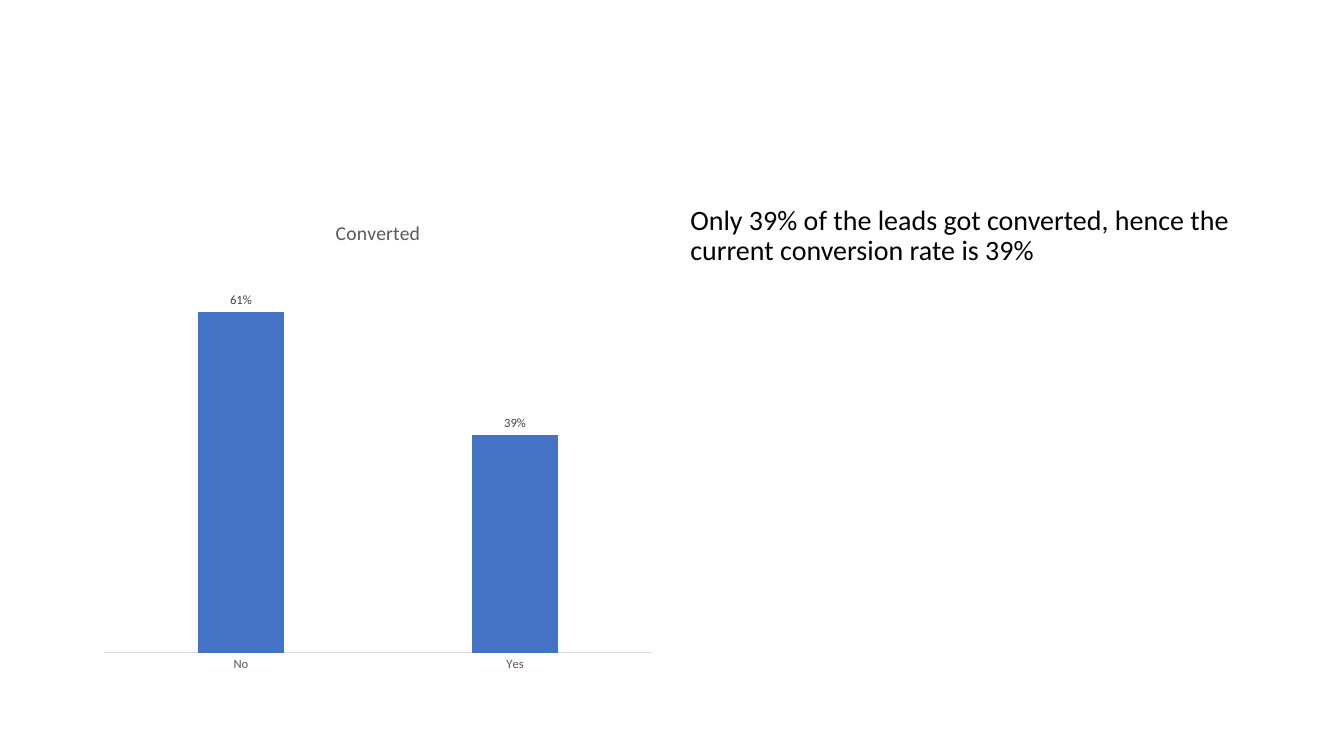
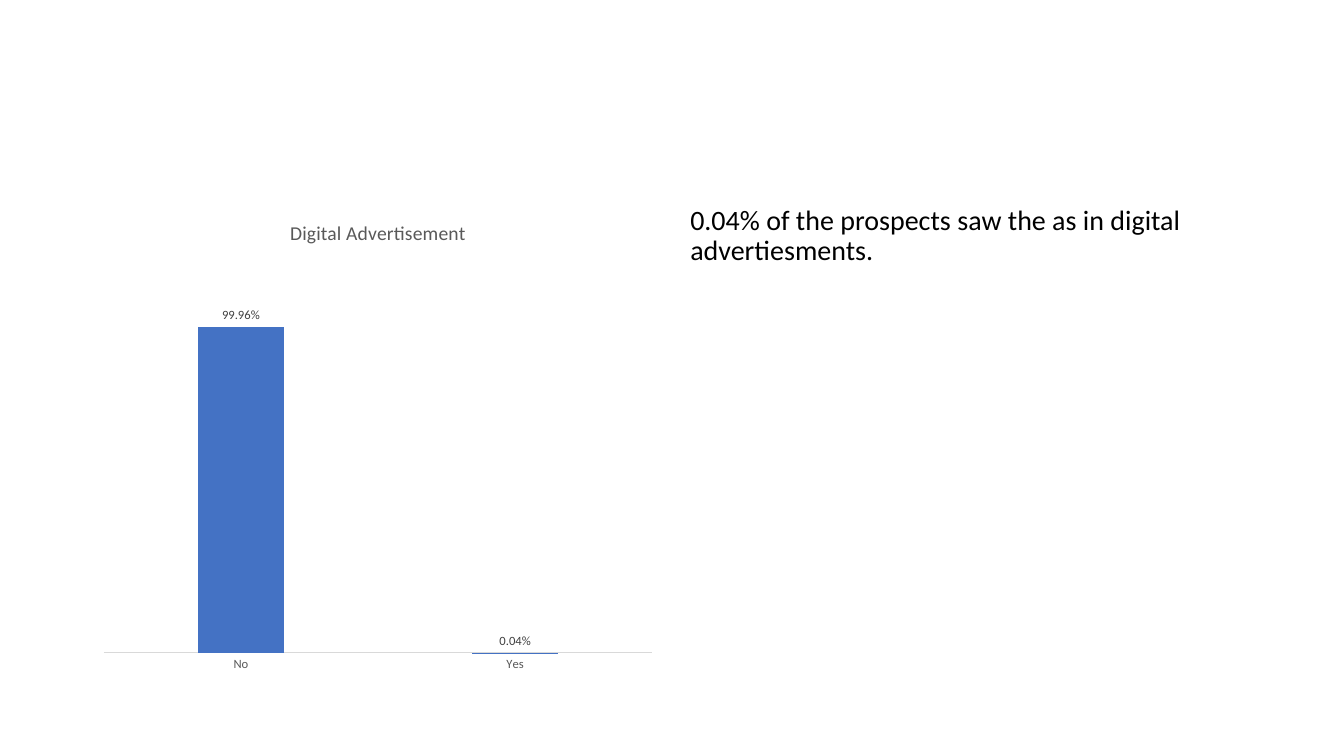
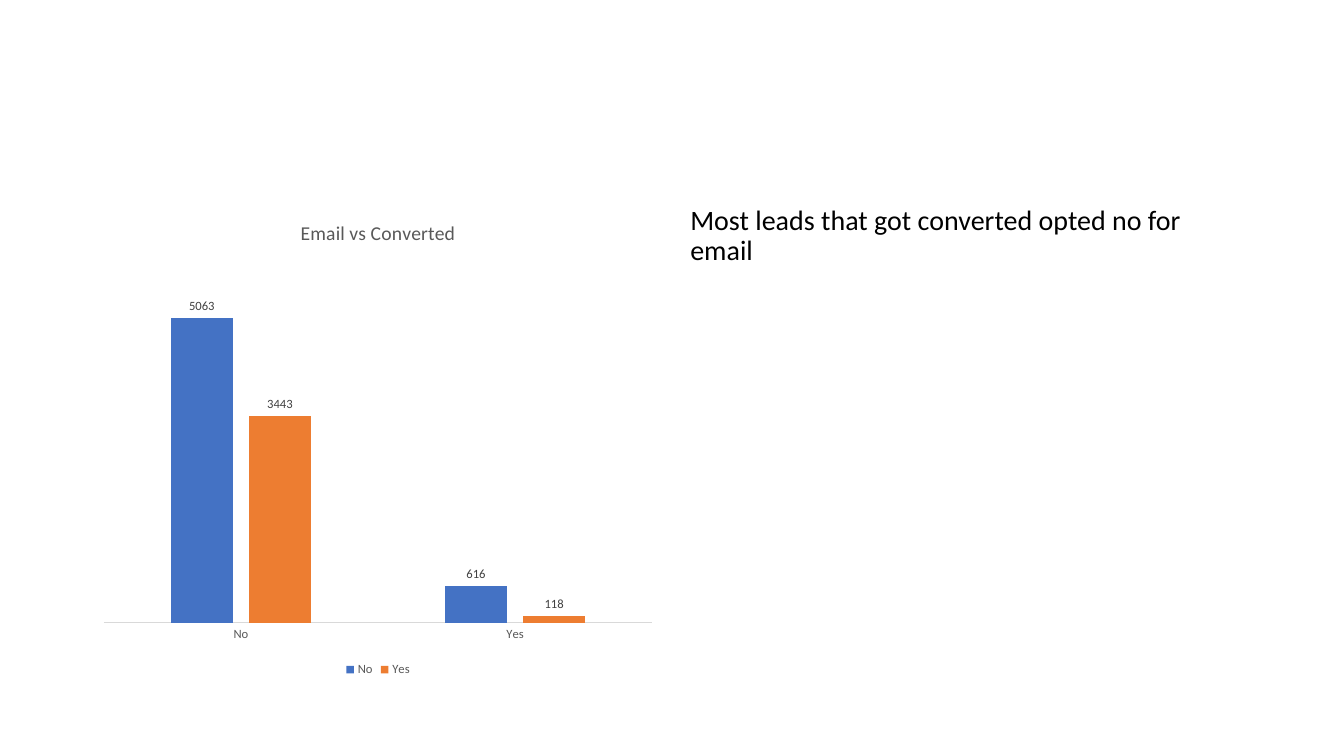
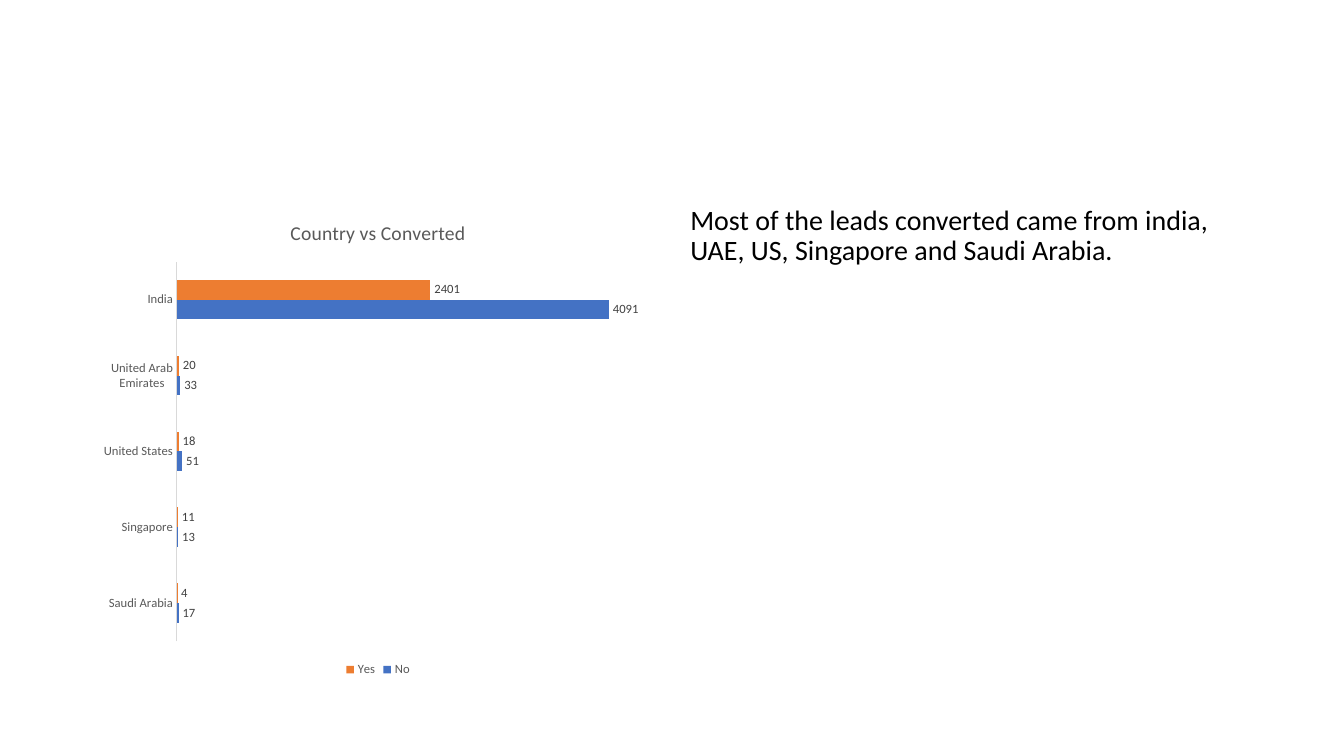
from pptx import Presentation
from pptx.chart.data import CategoryChartData as ChartData
from pptx.dml.color import RGBColor
from pptx.enum.chart import XL_CHART_TYPE as ChartType
from pptx.enum.chart import XL_LABEL_POSITION as LabelPosition
from pptx.enum.chart import XL_LEGEND_POSITION as LegendPosition
from pptx.enum.chart import XL_TICK_MARK as TickMark
from pptx.util import Cm, Pt

FONT = "Calibri"
BLACK = RGBColor(0x00, 0x00, 0x00)
LABEL_GREY = RGBColor(0x40, 0x40, 0x40)
TEXT_GREY = RGBColor(0x59, 0x59, 0x59)
LINE_GREY = RGBColor(0xD9, 0xD9, 0xD9)
BLUE = RGBColor(0x44, 0x72, 0xC4)
ORANGE = RGBColor(0xED, 0x7D, 0x31)
SERIES_COLORS = [BLUE, ORANGE]

PAGE_WIDTH, PAGE_HEIGHT = Cm(33.87), Cm(19.05)
MARGIN, GAP, TOP = Cm(2.33), Cm(0.42), Cm(5.07)
HALF_WIDTH = (PAGE_WIDTH - 2 * MARGIN - GAP) // 2
HALF_HEIGHT = Cm(12.09)

COLUMNS = {"kind": ChartType.COLUMN_CLUSTERED, "gap": 219, "overlap": -27}
BARS = {"kind": ChartType.BAR_CLUSTERED, "gap": 182, "overlap": 0}
ANSWERS = ["No", "Yes"]
COUNTRIES = ["Saudi Arabia", "Singapore", "United States", "United Arab Emirates", "India"]

FINDINGS = [
    {
        "title": "Converted",
        "text": "Only 39% of the leads got converted, hence the current conversion rate is 39%",
        "style": COLUMNS,
        "categories": ANSWERS,
        "series": {"Series 1": [0.61, 0.39]},
        "number_format": "0%",
    },
    {
        "title": "Digital Advertisement",
        "text": "0.04% of the prospects saw the as in digital advertiesments.",
        "style": COLUMNS,
        "categories": ANSWERS,
        "series": {"Series 1": [0.9996, 0.0004]},
        "number_format": "0.00%",
    },
    {
        "title": "Email vs Converted",
        "text": "Most leads that got converted opted no for email",
        "style": COLUMNS,
        "categories": ANSWERS,
        "series": {"No": [5063, 616], "Yes": [3443, 118]},
        "number_format": "General",
    },
    {
        "title": "Country vs Converted",
        "text": "Most of the leads converted came from india, UAE, US, Singapore and Saudi Arabia.",
        "style": BARS,
        "categories": COUNTRIES,
        "series": {"No": [17, 13, 51, 33, 4091], "Yes": [4, 11, 18, 20, 2401]},
        "number_format": "General",
    },
]


def format_font(font, size, color):
    font.name = FONT
    font.size = Pt(size)
    font.bold = False
    font.color.rgb = color


def write_text(frame, text, size=20, color=BLACK, line_spacing=None, space_before=None):
    para = frame.paragraphs[0]
    para.line_spacing = line_spacing
    para.space_before = space_before
    span = para.add_run()
    span.text = text
    format_font(span.font, size, color)


def add_finding_text(page, text):
    left = MARGIN + HALF_WIDTH + GAP
    box = page.shapes.add_textbox(left, TOP, HALF_WIDTH, HALF_HEIGHT)
    box.text_frame.word_wrap = True
    write_text(box.text_frame, text, line_spacing=0.9, space_before=Pt(10))


def style_axes(chart, number_format):
    category_axis = chart.category_axis
    category_axis.major_tick_mark = TickMark.NONE
    category_axis.minor_tick_mark = TickMark.NONE
    category_axis.has_major_gridlines = False
    category_axis.format.line.color.rgb = LINE_GREY
    category_axis.format.line.width = Pt(0.75)
    format_font(category_axis.tick_labels.font, 9, TEXT_GREY)

    value_axis = chart.value_axis
    value_axis.has_major_gridlines = False
    value_axis.tick_labels.number_format = number_format
    value_axis.tick_labels.number_format_is_linked = False
    value_axis.visible = False


def style_series(series, color, number_format):
    series.format.fill.solid()
    series.format.fill.fore_color.rgb = color
    series.invert_if_negative = False
    labels = series.data_labels
    labels.show_value = True
    labels.position = LabelPosition.OUTSIDE_END
    labels.number_format = number_format
    labels.number_format_is_linked = False
    format_font(labels.font, 9, LABEL_GREY)


def add_finding_chart(page, title, style, categories, series, number_format):
    data = ChartData(number_format=number_format)
    data.categories = categories
    for name, values in series.items():
        data.add_series(name, values)
    chart = page.shapes.add_chart(
        style["kind"], MARGIN, TOP, HALF_WIDTH, HALF_HEIGHT, data
    ).chart
    format_font(chart.font, 10, BLACK)

    chart.has_title = True
    write_text(chart.chart_title.text_frame, title, size=14, color=TEXT_GREY)
    chart.has_legend = len(series) > 1
    if chart.has_legend:
        chart.legend.position = LegendPosition.BOTTOM
        chart.legend.include_in_layout = False
        format_font(chart.legend.font, 9, TEXT_GREY)

    style_axes(chart, number_format)
    plot = chart.plots[0]
    plot.vary_by_categories = False
    plot.gap_width = style["gap"]
    plot.overlap = style["overlap"]
    for item, color in zip(plot.series, SERIES_COLORS):
        style_series(item, color, number_format)


def main():
    deck = Presentation()
    deck.slide_width, deck.slide_height = PAGE_WIDTH, PAGE_HEIGHT
    for finding in FINDINGS:
        page = deck.slides.add_slide(deck.slide_layouts[6])
        chart_parts = dict(finding)
        add_finding_text(page, chart_parts.pop("text"))
        add_finding_chart(page, **chart_parts)
    deck.save("out.pptx")


if __name__ == "__main__":
    main()
